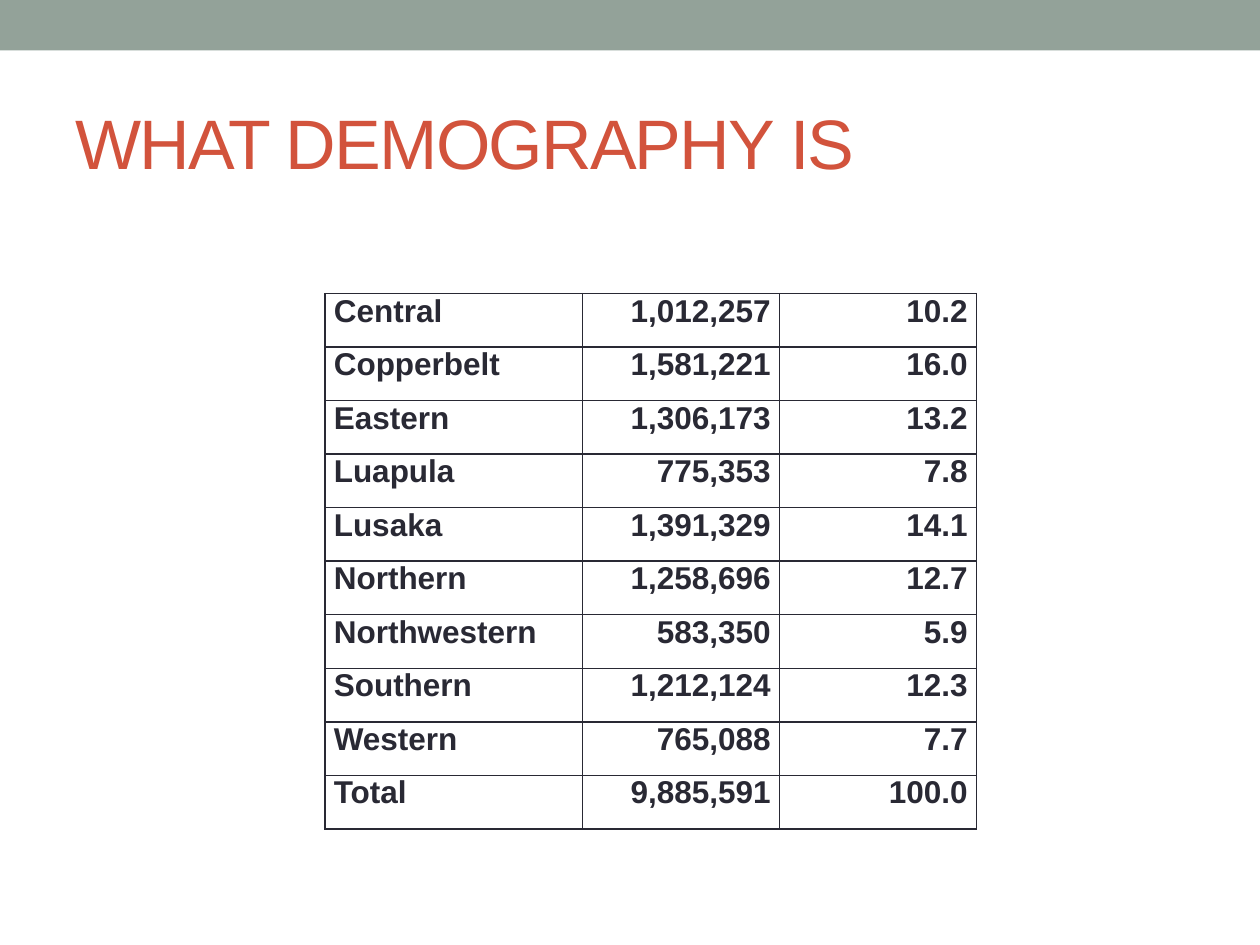
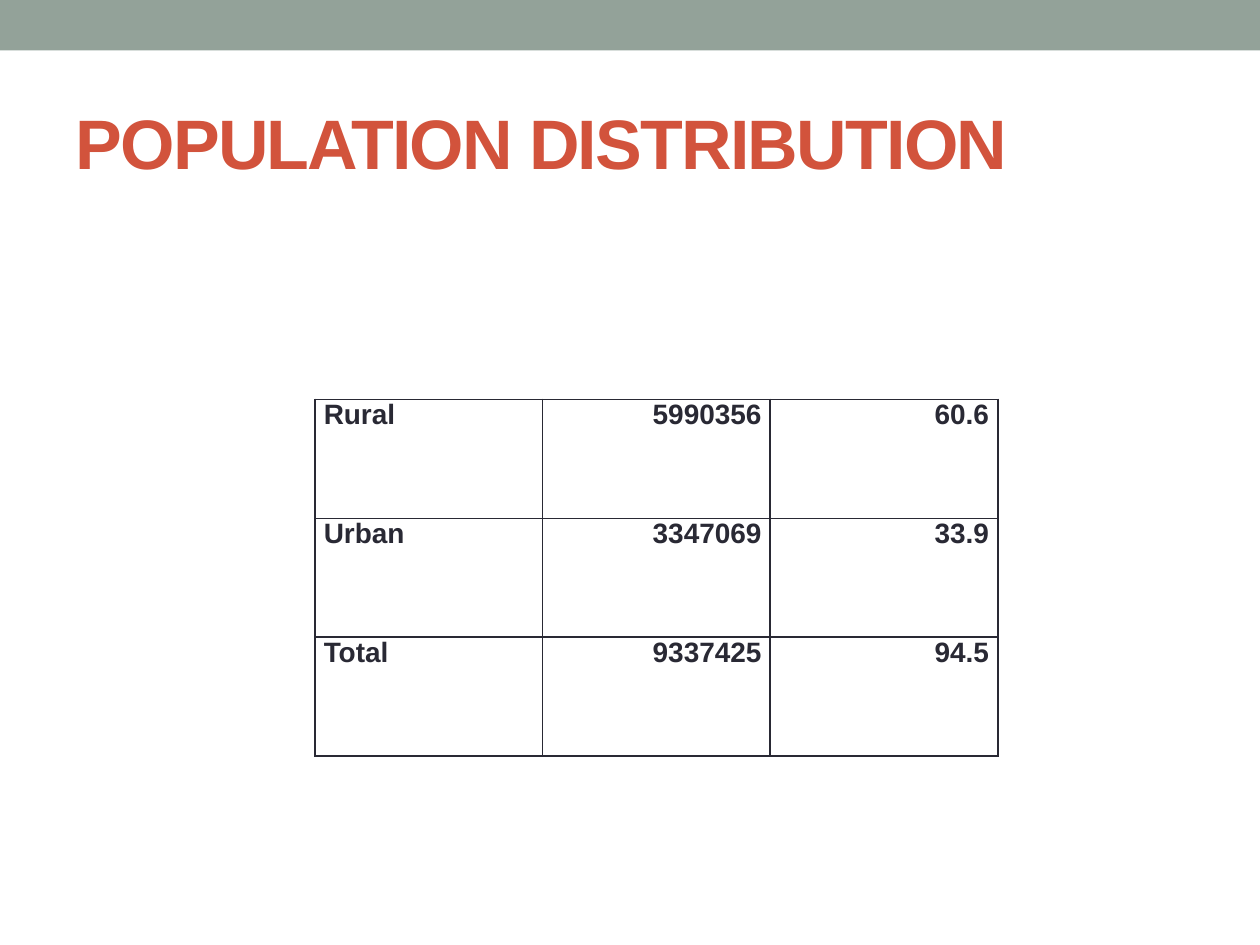
from dataclasses import dataclass

from lxml.etree import SubElement
from pptx import Presentation
from pptx.dml.color import RGBColor as Rgb
from pptx.enum.shapes import MSO_SHAPE as Shape
from pptx.enum.text import MSO_ANCHOR as Anchor, MSO_AUTO_SIZE as AutoSize, PP_ALIGN as Align
from pptx.oxml.ns import qn
from pptx.util import Inches, Pt

# Content: place is left, top, width, height in inches; columns are relative widths
SLIDES = [
    {
        "title": "WHAT DEMOGRAPHY IS",
        "title_bold": False,
        "place": (2.58, 2.33, 5.17, 4.25),
        "columns": (2.04, 1.56, 1.56),
        "text_size": 18,
        "rows": [
            ("Central", "1,012,257", "10.2"),
            ("Copperbelt", "1,581,221", "16.0"),
            ("Eastern", "1,306,173", "13.2"),
            ("Luapula", "775,353", "7.8"),
            ("Lusaka", "1,391,329", "14.1"),
            ("Northern", "1,258,696", "12.7"),
            ("Northwestern", "583,350", "5.9"),
            ("Southern", "1,212,124", "12.3"),
            ("Western", "765,088", "7.7"),
            ("Total", "9,885,591", "100.0"),
        ],
    },
    {
        "title": "POPULATION DISTRIBUTION",
        "title_bold": True,
        "place": (2.5, 3.17, 5.42, 2.83),
        "columns": (1, 1, 1),
        "text_size": 16,
        "rows": [
            ("Rural", "5990356", "60.6"),
            ("Urban", "3347069", "33.9"),
            ("Total", "9337425", "94.5"),
        ],
    },
]


@dataclass(frozen=True)
class Theme:
    font: str = "Arial"
    band: str = "93A299"
    title: str = "D2533C"
    ink: str = "292934"
    title_size: int = 40
    title_spacing: int = -100  # hundredths of a point
    border: float = 1
    cell_inset: float = 0.07


THEME = Theme()
WIDTH, HEIGHT = 10, 7.5
BAND_HEIGHT = 0.4
TITLE_PLACE = (0.5, 0.58, 9, 1.08)


def style_text(paragraph, size, color, bold, align):
    paragraph.alignment = align
    for run in paragraph.runs:
        font = run.font
        font.name, font.size, font.bold = THEME.font, Pt(size), bold
        font.color.rgb = Rgb.from_string(color)


def add_band(slide):
    band = slide.shapes.add_shape(Shape.RECTANGLE, 0, 0, Inches(WIDTH), Inches(BAND_HEIGHT))
    band.shadow.inherit = False
    band.fill.solid()
    band.fill.fore_color.rgb = Rgb.from_string(THEME.band)
    band.line.fill.background()


def set_title(slide, wording, bold):
    title = slide.shapes.title
    title.left, title.top, title.width, title.height = map(Inches, TITLE_PLACE)
    frame = title.text_frame
    frame.text = wording
    frame.auto_size = AutoSize.NONE
    frame.vertical_anchor = Anchor.MIDDLE
    heading = frame.paragraphs[0]
    style_text(heading, THEME.title_size, THEME.title, bold, Align.LEFT)
    heading.runs[0].font._element.set("spc", str(THEME.title_spacing))


def draw_borders(cell):
    properties = cell._tc.get_or_add_tcPr()
    for side in ("lnL", "lnR", "lnT", "lnB"):
        line = SubElement(properties, qn(f"a:{side}"), w=str(Pt(THEME.border)))
        fill = SubElement(line, qn("a:solidFill"))
        SubElement(fill, qn("a:srgbClr"), val=THEME.ink)


def fill_cell(cell, wording, size, align):
    cell.margin_left = cell.margin_right = Inches(THEME.cell_inset)
    cell.margin_top = cell.margin_bottom = 0
    cell.vertical_anchor = Anchor.TOP
    draw_borders(cell)
    cell.fill.background()
    cell.text_frame.text = wording
    style_text(cell.text_frame.paragraphs[0], size, THEME.ink, True, align)


def add_figures(slide, content):
    rows, shares = content["rows"], content["columns"]
    left, top, width, height = map(Inches, content["place"])
    table = slide.shapes.add_table(len(rows), len(shares), left, top, width, height).table
    table.first_row = table.horz_banding = False
    for column, share in zip(table.columns, shares):
        column.width = int(width * share / sum(shares))
    for table_row, figures in zip(table.rows, rows):
        table_row.height = height // len(rows)
        for index, (cell, wording) in enumerate(zip(table_row.cells, figures)):
            fill_cell(cell, wording, content["text_size"], Align.RIGHT if index else Align.LEFT)


def main():
    deck = Presentation()
    deck.slide_width, deck.slide_height = Inches(WIDTH), Inches(HEIGHT)
    title_only = deck.slide_layouts[5]
    for content in SLIDES:
        slide = deck.slides.add_slide(title_only)
        add_band(slide)
        set_title(slide, content["title"], content["title_bold"])
        add_figures(slide, content)
    deck.save("out.pptx")


if __name__ == "__main__":
    main()
